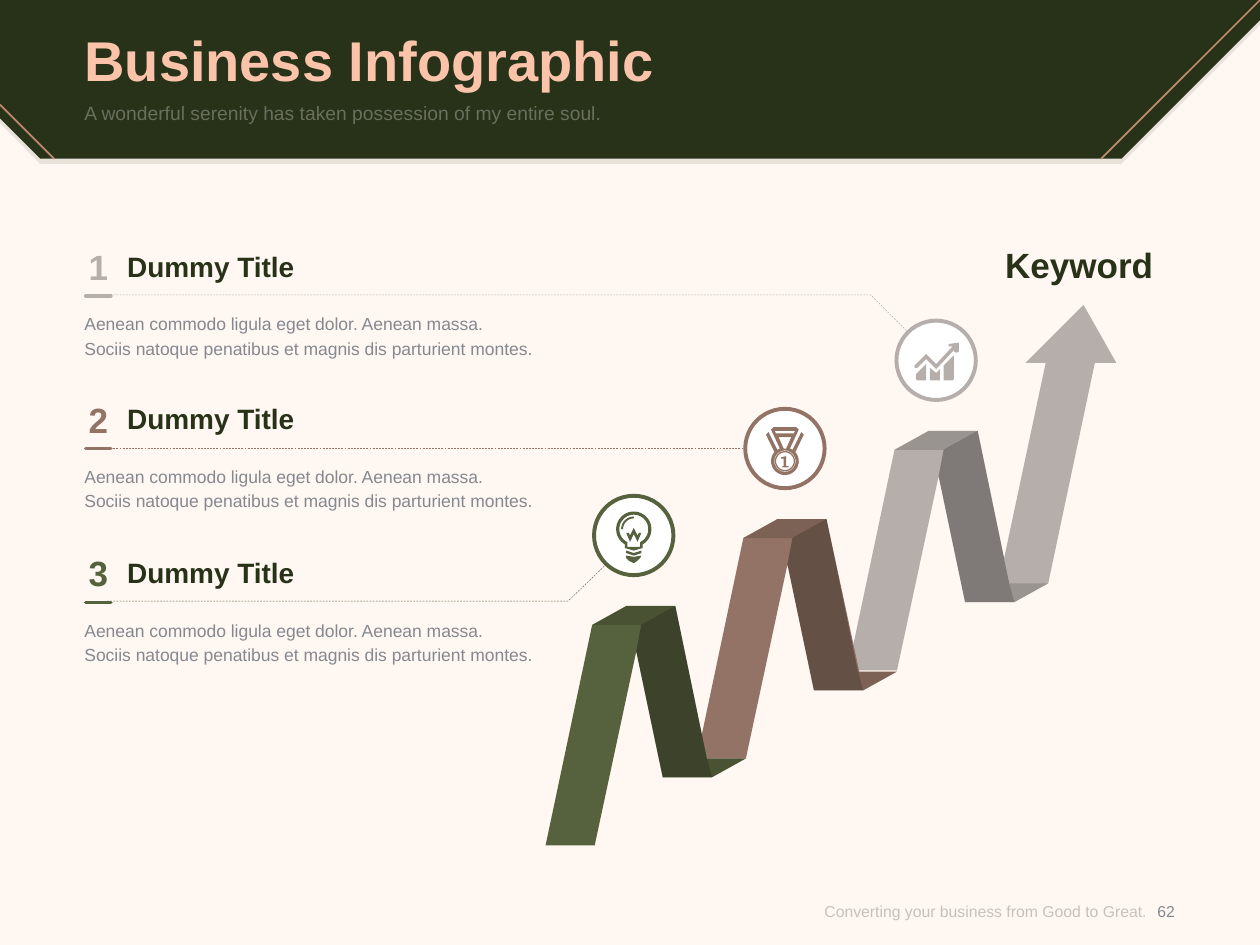
from math import cos, radians, sin

from lxml.etree import SubElement
from pptx import Presentation
from pptx.dml.color import RGBColor
from pptx.enum.dml import MSO_LINE
from pptx.enum.shapes import MSO_CONNECTOR, MSO_SHAPE
from pptx.enum.text import MSO_ANCHOR, MSO_AUTO_SIZE, PP_ALIGN
from pptx.oxml.ns import qn
from pptx.util import Emu, Pt

PX = 9144  # EMU, so that an inch has 100 px

CREAM = RGBColor(0xFF, 0xF7, 0xF2)
FOREST = RGBColor(0x28, 0x32, 0x18)
PEACH = RGBColor(0xFB, 0xC4, 0xAA)
BRONZE = RGBColor(0xBF, 0x89, 0x6E)
SILVER = RGBColor(0xB6, 0xAE, 0xAB)
BROWN = RGBColor(0x92, 0x73, 0x65)
OLIVE = RGBColor(0x56, 0x61, 0x3D)
SLATE = RGBColor(0x85, 0x89, 0x8F)
GRAY = RGBColor(0x8C, 0x8C, 0x8C)
WHITE = RGBColor(0xFF, 0xFF, 0xFF)
BLACK = RGBColor(0, 0, 0)


def px(*lengths):
    return [Emu(round(length * PX)) for length in lengths]


def arc(cx, cy, radius, start=0, end=360):
    """Points along an arc; degrees run clockwise from the right."""
    steps = 36
    angles = [radians(start + (end - start) * i / steps) for i in range(steps + 1)]
    return [(cx + radius * cos(a), cy + radius * sin(a)) for a in angles]


def shift(points, dx, dy):
    return [(x + dx, y + dy) for x, y in points]


def fade(shape, opacity):
    """Make every colour of the shape partly transparent; opacity in percent."""
    for color in shape.element.iter(qn("a:srgbClr")):
        SubElement(color, qn("a:alpha"), val=str(opacity * 1000))


class Canvas:
    """The current slide and the style its elements share."""

    font = "Arial"

    def __init__(self, slide, background):
        self.shapes = slide.shapes
        slide.background.fill.solid()
        slide.background.fill.fore_color.rgb = background

    def fill_text(self, shape, lines, size, color, bold=False, align=PP_ALIGN.LEFT,
                  anchor=MSO_ANCHOR.TOP, spacing=None):
        frame = shape.text_frame
        frame_format = dict(word_wrap=True, auto_size=MSO_AUTO_SIZE.NONE, vertical_anchor=anchor,
                            margin_left=0, margin_top=0, margin_right=0, margin_bottom=0)
        for name, value in frame_format.items():
            setattr(frame, name, value)
        frame.text = "\n".join(lines)
        for paragraph in frame.paragraphs:
            paragraph.alignment = align
            paragraph.line_spacing = spacing
            font = paragraph.runs[0].font
            for name, value in dict(name=self.font, size=Pt(size), bold=bold).items():
                setattr(font, name, value)
            font.color.rgb = color
        return shape

    def text(self, box, *lines, **style):
        return self.fill_text(self.shapes.add_textbox(*px(*box)), lines, **style)

    def title(self, box, words, **style):
        title = self.shapes.title
        for name, value in zip(("left", "top", "width", "height"), px(*box)):
            setattr(title, name, value)
        self.fill_text(title, [words], **style)
        title.element.getparent().append(title.element)  # bring to front

    def outline(self, contours, closed):
        builder = None
        for contour in contours:
            first, *rest = [tuple(px(*point)) for point in contour]
            if builder is None:
                builder = self.shapes.build_freeform(*first, scale=1.0)
            else:
                builder.move_to(*first)
            builder.add_line_segments(rest, close=closed)
        shape = builder.convert_to_shape()
        shape.shadow.inherit = False
        return shape

    def area(self, color, *contours, opacity=None):
        """Filled outline; a contour inside another one is a hole."""
        shape = self.outline(contours, closed=True)
        shape.fill.solid()
        shape.fill.fore_color.rgb = color
        shape.line.fill.background()
        if opacity:
            fade(shape, opacity)

    def stroke(self, shape, color, width, dash=None):
        shape.line.color.rgb = color
        shape.line.width = Pt(width)
        if dash:
            shape.line.dash_style = dash

    def line(self, points, color, width, dash=None, rounded=False):
        if len(points) > 2:
            shape = self.outline([points], closed=False)
            shape.fill.background()
        else:
            (x1, y1), (x2, y2) = points
            shape = self.shapes.add_connector(MSO_CONNECTOR.STRAIGHT, *px(x1, y1, x2, y2))
        self.stroke(shape, color, width, dash)
        if len(points) == 2:
            SubElement(shape.element.spPr, qn("a:effectLst"))
        if rounded:
            shape.element.spPr.find(qn("a:ln")).set("cap", "rnd")

    def badge(self, cx, cy, color):
        diameter = 63
        shape = self.shapes.add_shape(
            MSO_SHAPE.OVAL, *px(cx - diameter / 2, cy - diameter / 2, diameter, diameter))
        shape.shadow.inherit = False
        shape.fill.solid()
        shape.fill.fore_color.rgb = WHITE
        self.stroke(shape, color, 2.25)

    def ribbon(self, color, dx, dy, end):
        """Folded band; end lists the slide points that close its rising side."""
        front = [(592, 602), (565, 617), (526, 617), (505, 517), (472, 671), (433, 671),
                 (470, 496), (497, 481), (536, 481)]
        lower_fold = [(561, 602), (565, 617), (592, 602)]
        back = [(565, 617), (526, 617), (505, 517), (509, 496), (536, 481), (561, 602)]
        upper_fold = [(536, 481), (509, 496), (470, 496), (497, 481)]
        self.area(color, shift(front, dx, dy) + end)
        for fold, opacity in ((lower_fold, 15), (back, 30), (upper_fold, 15)):
            self.area(BLACK, shift(fold, dx, dy), opacity=opacity)


BULB = [
    arc(503, 420, 14, 120, 420) + [(510, 435), (503, 437), (496, 435)],
    arc(503, 420, 11.5, 116, 424) + [(508, 434), (498, 434)],
    arc(503, 420, 10, 180, 270) + arc(503, 420, 8.5, 270, 180),
    [(506, 425), (503, 419), (500, 425), (499, 423), (497, 423), (500, 430), (503, 424),
     (506, 430), (509, 423), (507, 423)],
    [(497, 437), (503, 439), (509, 437), (509, 439), (503, 441), (497, 439)],
    [(497, 441), (503, 442), (509, 441), (508, 443), (506, 445), (503, 447), (499, 445), (497, 443)],
]
MEDAL = [
    [(638, 345), (636, 343), (629, 357), (627, 356), (634, 341), (632, 339), (614, 339),
     (612, 341), (619, 356), (617, 357), (610, 343), (608, 345)] + arc(623, 366, 11, 221, -41),
    [(615, 342), (631, 342), (630, 344), (616, 344)],
    [(618, 347), (628, 347), (624, 356), (622, 356)],
    arc(623, 366, 8.5), arc(623, 366, 8), arc(623, 366, 7),
    [(624, 362), (620, 363), (620, 364), (622, 364), (622, 370), (621, 370), (621, 371),
     (626, 371), (626, 370), (624, 370)],
]
GROWTH = [
    [(727, 297), (735, 289), (735, 302), (728, 302), (727, 301)],
    [(738, 292), (743, 296), (746, 293), (746, 302), (738, 302)],
    [(749, 290), (757, 282), (757, 301), (756, 302), (749, 302)],
    [(726, 290), (735, 281), (743, 289), (756, 275), (753, 275), (753, 273), (761, 272),
     (761, 279), (759, 280), (757, 279), (758, 277), (743, 293), (735, 285), (728, 292), (726, 292)],
]


def draw_header(canvas):
    banner = [(890, 126), (32, 126), (0, 94), (0, 0), (1000, 0), (1000, 16)]
    canvas.area(FOREST, shift(banner, 0, 4), opacity=10)
    canvas.area(FOREST, banner)
    canvas.line([(1000, 0), (874, 126)], BRONZE, 1)
    canvas.line([(0, 83), (43, 126)], BRONZE, 1)
    canvas.title((67, 14, 866, 65), "Business Infographic", size=32, color=PEACH, bold=True,
                 anchor=MSO_ANCHOR.MIDDLE)
    fade(canvas.text((67, 80, 866, 39), "A wonderful serenity has taken possession of my entire soul.",
                     size=11, color=WHITE), 30)


def draw_footer(canvas):
    fade(canvas.text((604, 696, 306, 54), "Converting your business from Good to Great.", size=9,
                     color=GRAY, align=PP_ALIGN.RIGHT, anchor=MSO_ANCHOR.MIDDLE), 50)
    canvas.text((902, 696, 47, 54), "62", size=9, color=SLATE, align=PP_ALIGN.CENTER,
                anchor=MSO_ANCHOR.MIDDLE)


def draw_points(canvas):
    points = [
        (SILVER, [(85, 234), (691, 234), (721, 264)], (743, 286), GROWTH),
        (BROWN, [(85, 356), (592, 356)], (623, 356), MEDAL),
        (OLIVE, [(85, 477), (451, 477), (481, 448)], (503, 425), BULB),
    ]
    for row, (color, leader, center, icon) in enumerate(points):
        top = 195 + row * 243 // 2
        canvas.text((67, top + 51, 388, 38), "Aenean commodo ligula eget dolor. Aenean massa.",
                    "Sociis natoque penatibus et magnis dis parturient montes.",
                    size=10, color=SLATE, spacing=Pt(14))
        canvas.text((101, top + 3, 315, 27), "Dummy Title", size=16, color=FOREST, bold=True)
        canvas.text((67, top, 22, 34), str(row + 1), size=20, color=color, bold=True,
                    align=PP_ALIGN.CENTER)
        canvas.line([(88, top + 40), (68, top + 40)], color, 2, rounded=True)
        canvas.line(leader, color, 0.25, MSO_LINE.DASH)
        canvas.badge(*center, color)
        canvas.area(color, *icon)


def draw_ribbons(canvas):
    arrow = [(797, 443), (830, 288), (814, 288), (860, 242), (886, 288), (869, 288)]
    canvas.ribbon(SILVER, 240, -139, arrow)
    canvas.ribbon(BROWN, 120, -69, [(682, 533)])
    canvas.ribbon(OLIVE, 0, 0, [(561, 602)])
    canvas.text((779, 193, 155, 34), "Keyword", size=20, color=FOREST, bold=True,
                align=PP_ALIGN.CENTER)


def main():
    deck = Presentation()
    deck.slide_width, deck.slide_height = px(1000, 750)
    canvas = Canvas(deck.slides.add_slide(deck.slide_layouts[5]), CREAM)
    for draw in (draw_header, draw_ribbons, draw_points, draw_footer):
        draw(canvas)
    deck.save("out.pptx")


if __name__ == "__main__":
    main()
